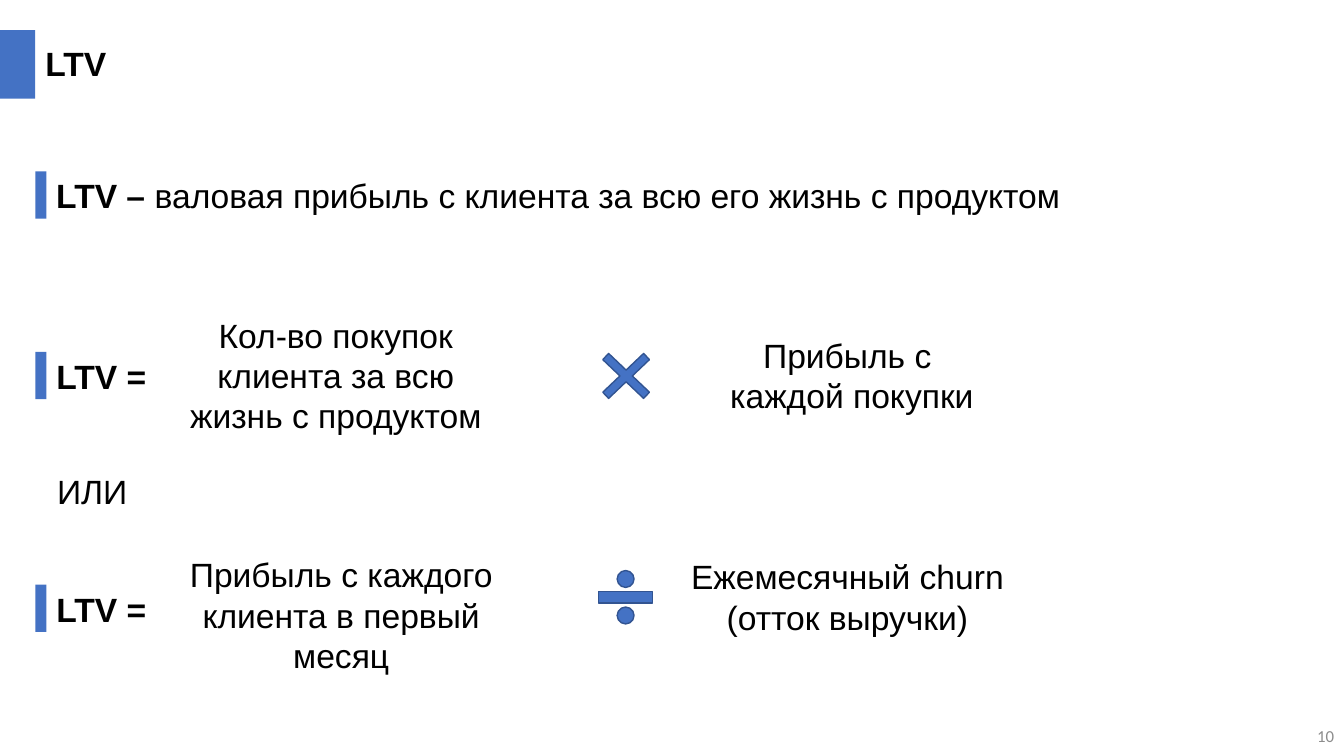
from pptx import Presentation
from pptx.dml.color import RGBColor
from pptx.enum.shapes import MSO_SHAPE
from pptx.enum.text import MSO_ANCHOR, MSO_AUTO_SIZE, PP_ALIGN
from pptx.util import Inches, Pt

RECTANGLE = MSO_SHAPE.RECTANGLE
MULTIPLY = MSO_SHAPE.MATH_MULTIPLY
DIVIDE = MSO_SHAPE.MATH_DIVIDE
LEFT, CENTER, RIGHT = PP_ALIGN.LEFT, PP_ALIGN.CENTER, PP_ALIGN.RIGHT
TOP, MIDDLE = MSO_ANCHOR.TOP, MSO_ANCHOR.MIDDLE
FIT_TEXT = MSO_AUTO_SIZE.SHAPE_TO_FIT_TEXT

COLORS = {"accent": "4472C4", "outline": "325491", "text": "000000", "number": "8C8C8C"}
MARGIN = 0.35
MARKER_WIDTH = 0.11
MARKER_HEIGHT = 0.47
LABEL_LEFT = MARGIN + MARKER_WIDTH
LINE_HEIGHT = 0.5


def color(name):
    return RGBColor.from_string(COLORS[name])


def style_paragraph(paragraph, align=LEFT, bold=False, size=24, font="Arial", tint="text"):
    paragraph.alignment = align
    paragraph.font.name = font
    paragraph.font.size = Pt(size)
    paragraph.font.bold = bold
    paragraph.font.color.rgb = color(tint)


def fit_frame(frame):
    frame.word_wrap = False
    frame.auto_size = FIT_TEXT
    frame.vertical_anchor = TOP


def add_text(slide, box, paragraphs, **style):
    """Each paragraph is a string; a newline in it is a line break."""
    frame = slide.shapes.add_textbox(*map(Inches, box)).text_frame
    fit_frame(frame)
    for index, words in enumerate(paragraphs):
        paragraph = frame.add_paragraph() if index else frame.paragraphs[0]
        paragraph.text = words
        style_paragraph(paragraph, **style)
    return frame


def add_solid(slide, kind, box, adjustments=(), outlined=False):
    solid = slide.shapes.add_shape(kind, *map(Inches, box))
    solid.shadow.inherit = False
    solid.fill.solid()
    solid.fill.fore_color.rgb = color("accent")
    for index, value in enumerate(adjustments):
        solid.adjustments[index] = value
    if outlined:
        solid.line.color.rgb = color("outline")
        solid.line.width = Pt(1)
    else:
        solid.line.fill.background()


def add_title(slide, words):
    add_solid(slide, RECTANGLE, (0, 0.3, MARGIN, 0.68))
    title = slide.shapes.title
    title.left, title.top = Inches(MARGIN), Inches(0.38)
    title.width, title.height = Inches(0.81), Inches(LINE_HEIGHT)
    title.text_frame.text = words
    fit_frame(title.text_frame)
    style_paragraph(title.text_frame.paragraphs[0], bold=True)


def add_marked_label(slide, top, width, words):
    add_solid(slide, RECTANGLE, (MARGIN, top + 0.01, MARKER_WIDTH, MARKER_HEIGHT))
    return add_text(slide, (LABEL_LEFT, top, width, LINE_HEIGHT), [words], bold=True)


def main():
    prs = Presentation()
    prs.slide_width, prs.slide_height = Inches(13.33), Inches(7.5)
    slide = prs.slides.add_slide(prs.slide_layouts[5])
    add_title(slide, "LTV")

    # Definition
    definition = add_marked_label(slide, 1.69, 10.26, "LTV – ")
    meaning = definition.paragraphs[0].add_run()
    meaning.text = "валовая прибыль с клиента за всю его жизнь с продуктом"
    meaning.font.bold = False

    # First formula: purchases times profit
    add_marked_label(slide, 3.48, 1.19, "LTV =")
    add_text(slide, (1.77, 3.07, 3.12, 1.31),
             ["Кол-во покупок\nклиента за всю\nжизнь с продуктом"], align=CENTER)
    add_solid(slide, MULTIPLY, (5.82, 3.36, 0.78, 0.74), [0.114], outlined=True)
    add_text(slide, (7.13, 3.27, 2.64, 0.91),
             ["Прибыль с \nкаждой покупки"], align=CENTER)

    add_text(slide, (LABEL_LEFT, 4.62, 0.91, LINE_HEIGHT), ["ИЛИ"], align=CENTER)

    # Second formula: profit divided by churn
    add_marked_label(slide, 5.79, 1.19, "LTV =")
    add_text(slide, (1.77, 5.45, 3.23, 1.31),
             ["Прибыль с каждого", "клиента в первый", "месяц"], align=CENTER)
    add_solid(slide, DIVIDE, (5.84, 5.57, 0.73, 0.71), [0.157, 0.059, 0.118], outlined=True)
    add_text(slide, (6.74, 5.47, 3.33, 0.91),
             ["Ежемесячный churn\n(отток выручки)"], align=CENTER)

    # Page number
    page = add_text(slide, (10.33, 7.1, 3, 0.4), ["10"], align=RIGHT,
                    size=12, font="Calibri", tint="number")
    page.auto_size = MSO_AUTO_SIZE.NONE
    page.word_wrap = True
    page.vertical_anchor = MIDDLE

    prs.save("out.pptx")


if __name__ == "__main__":
    main()
